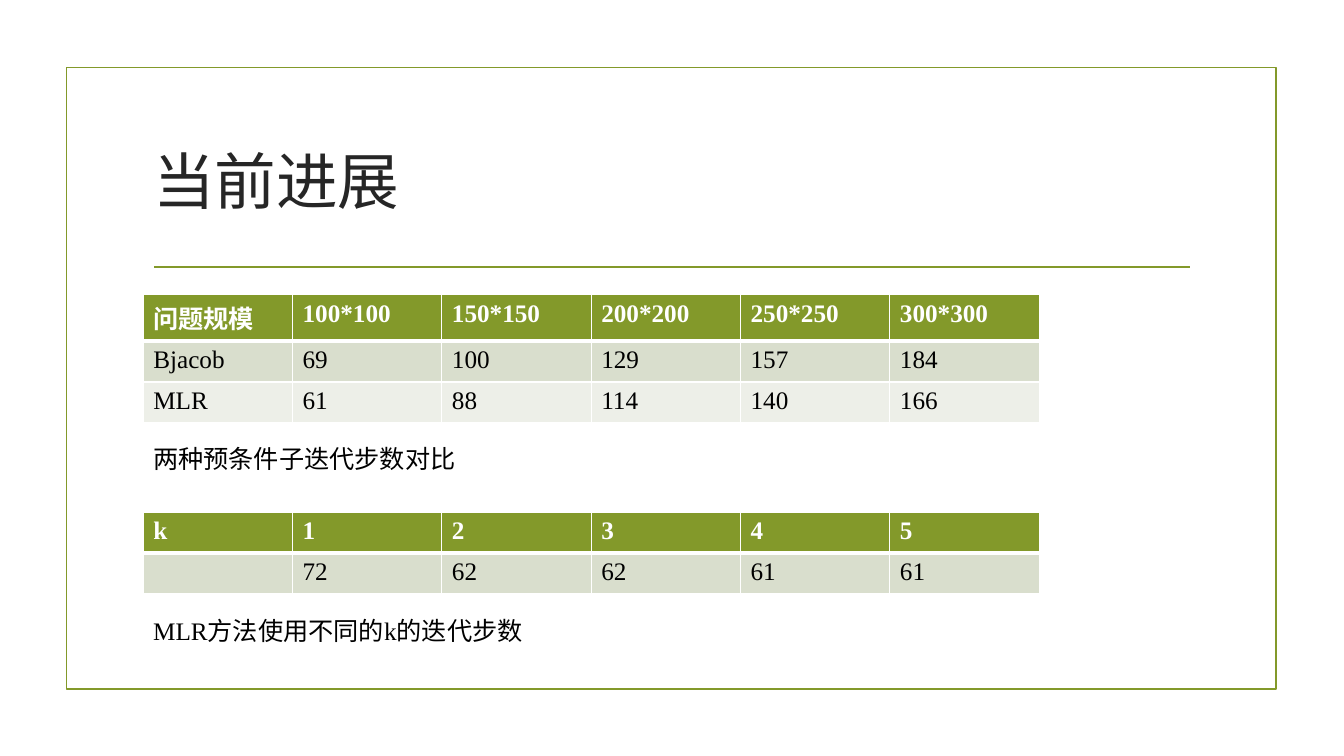
from dataclasses import dataclass

from lxml.etree import SubElement
from pptx import Presentation
from pptx.dml.color import RGBColor
from pptx.enum.shapes import MSO_CONNECTOR, MSO_SHAPE
from pptx.enum.text import MSO_ANCHOR, MSO_AUTO_SIZE
from pptx.oxml import parse_xml
from pptx.oxml.ns import nsdecls, qn
from pptx.slide import Slide
from pptx.table import _Cell
from pptx.text.text import _Paragraph
from pptx.util import Cm, Pt

FONT = "Times New Roman"
GREEN = "83992A"
WHITE = "FFFFFF"
BLACK = "000000"
BANDS = ["D9DECD", "EDEFE8"]
LEFT = 3.61
TABLE_WIDTH = 22.58
ROW_HEIGHT = 1.03


@dataclass
class Label:
    text: str
    top: float
    width: float
    height: float
    size: float = 18
    color: str = BLACK
    anchor: MSO_ANCHOR = MSO_ANCHOR.TOP


@dataclass
class Grid:
    top: float
    rows: list[list[str]]


LABELS = [
    Label("当前进展", 2.72, 26.67, 3.63, 44, "262626", MSO_ANCHOR.MIDDLE),
    Label("两种预条件子迭代步数对比", 11.05, 21.95, 1.03),
    Label("MLR方法使用不同的k的迭代步数", 15.37, 21.95, 1.03),
]

GRIDS = [
    Grid(7.42, [
        ["问题规模", "100*100", "150*150", "200*200", "250*250", "300*300"],
        ["Bjacob", "69", "100", "129", "157", "184"],
        ["MLR", "61", "88", "114", "140", "166"],
    ]),
    Grid(12.9, [
        ["k", "1", "2", "3", "4", "5"],
        ["", "72", "62", "62", "61", "61"],
    ]),
]


def rgb(color: str) -> RGBColor:
    return RGBColor.from_string(color)


def style(p: _Paragraph, size: float, color: str, bold: bool = False) -> None:
    p.font.name = FONT
    p.font.size = Pt(size)
    p.font.bold = bold
    p.font.color.rgb = rgb(color)


def add_frame(s: Slide) -> None:
    sp = s.shapes.add_shape(MSO_SHAPE.RECTANGLE, Cm(1.68), Cm(1.7), Cm(30.48), Cm(15.67))
    sp.shadow.inherit = False
    sp.fill.background()
    sp.line.color.rgb = rgb(GREEN)
    sp.line.width = Pt(1.25)


def add_rule(s: Slide) -> None:
    line = s.shapes.add_connector(MSO_CONNECTOR.STRAIGHT, Cm(3.89), Cm(6.73), Cm(30), Cm(6.73))
    line.line.color.rgb = rgb(GREEN)
    line.line.width = Pt(1.25)
    SubElement(line._element.spPr, qn("a:effectLst"))


def add_label(s: Slide, label: Label) -> None:
    sp = s.shapes.add_textbox(Cm(LEFT), Cm(label.top), Cm(label.width), Cm(label.height))
    tf = sp.text_frame
    tf.word_wrap = True
    tf.auto_size = MSO_AUTO_SIZE.NONE
    tf.vertical_anchor = label.anchor
    p = tf.paragraphs[0]
    p.text = label.text
    style(p, label.size, label.color)


def set_borders(cell: _Cell, bottom: float, top: float) -> None:
    tc_pr = cell._tc.get_or_add_tcPr()
    widths = {"lnL": 1, "lnR": 1, "lnT": top, "lnB": bottom}
    for i, (side, width) in enumerate(widths.items()):
        tc_pr.insert(i, parse_xml(
            f'<a:{side} {nsdecls("a")} w="{Pt(width)}"><a:solidFill>'
            f'<a:srgbClr val="{WHITE}"/></a:solidFill></a:{side}>'
        ))


def add_grid(s: Slide, grid: Grid) -> None:
    n_rows, n_cols = len(grid.rows), len(grid.rows[0])
    table = s.shapes.add_table(
        n_rows, n_cols, Cm(LEFT), Cm(grid.top), Cm(TABLE_WIDTH), Cm(ROW_HEIGHT * n_rows)
    ).table
    for i, values in enumerate(grid.rows):
        header = i == 0
        for j, value in enumerate(values):
            cell = table.cell(i, j)
            cell.fill.solid()
            cell.fill.fore_color.rgb = rgb(GREEN if header else BANDS[(i - 1) % 2])
            set_borders(cell, bottom=3 if header else 1, top=3 if i == 1 else 1)
            p = cell.text_frame.paragraphs[0]
            p.text = value
            style(p, 18, WHITE if header else BLACK, header)


def main() -> None:
    prs = Presentation()
    prs.slide_width, prs.slide_height = Cm(33.87), Cm(19.05)
    s = prs.slides.add_slide(prs.slide_layouts[6])
    add_frame(s)
    add_rule(s)
    for grid in GRIDS:
        add_grid(s, grid)
    for label in LABELS:
        add_label(s, label)
    prs.save("out.pptx")


if __name__ == "__main__":
    main()
